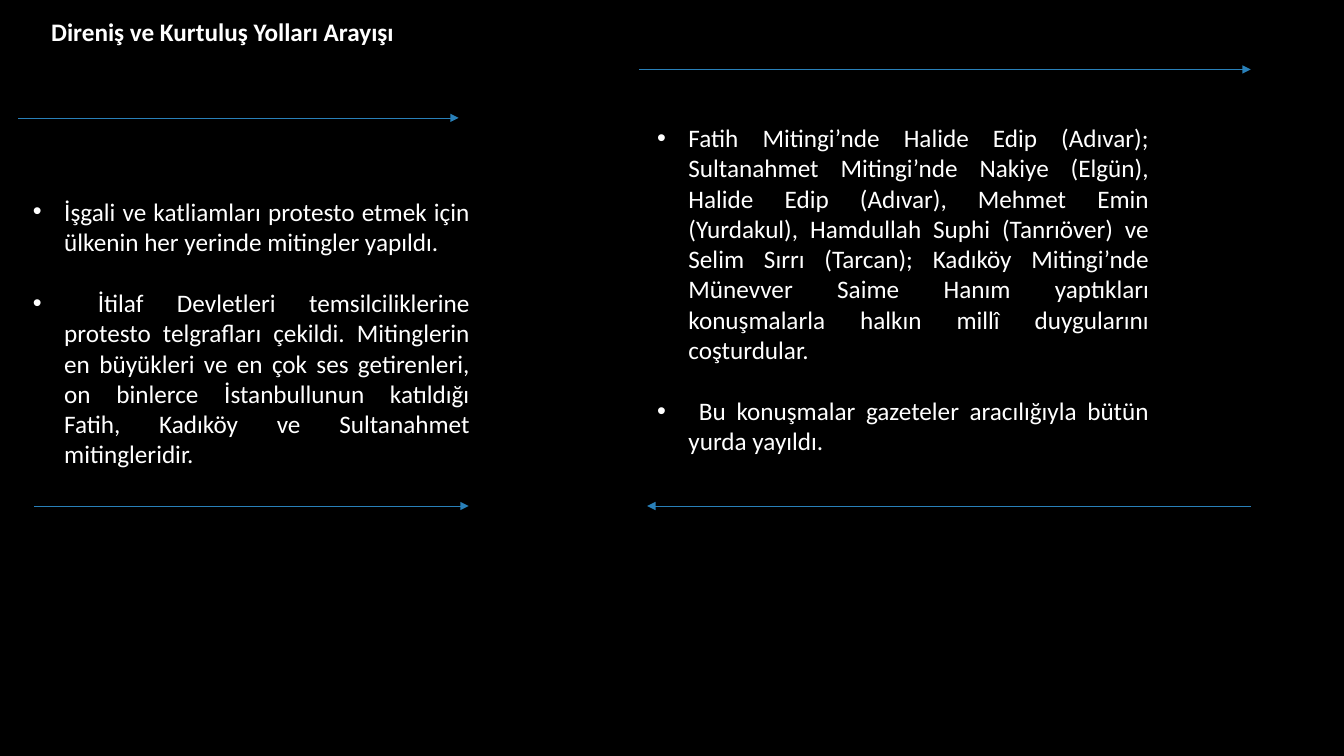
from dataclasses import dataclass

from pptx import Presentation
from pptx.dml.color import RGBColor as Rgb
from pptx.enum.shapes import MSO_CONNECTOR as Link
from pptx.enum.text import MSO_ANCHOR as Anchor, PP_ALIGN as Align
from pptx.oxml.ns import qn
from pptx.oxml.xmlchemy import OxmlElement as Node
from pptx.util import Cm, Pt


@dataclass(frozen=True)
class Theme:
    back: Rgb = Rgb(0, 0, 0)
    ink: Rgb = Rgb(255, 255, 255)
    line: Rgb = Rgb(0x29, 0x80, 0xB9)
    font: str = "Calibri"
    size: Pt = Pt(18)
    gap: Pt = Pt(22)
    width: Pt = Pt(0.5)
    indent: Cm = Cm(0.79)


THEME = Theme()

TITLE = "Direniş ve Kurtuluş Yolları Arayışı"
LEFT = [
    "İşgali ve katliamları protesto etmek için ülkenin her yerinde mitingler "
    "yapıldı.",
    " İtilaf Devletleri temsilciliklerine protesto telgrafları çekildi. "
    "Mitinglerin en büyükleri ve en çok ses getirenleri, on binlerce "
    "İstanbullunun katıldığı Fatih, Kadıköy ve Sultanahmet mitingleridir.",
]
RIGHT = [
    "Fatih Mitingi’nde Halide Edip (Adıvar); Sultanahmet Mitingi’nde Nakiye "
    "(Elgün), Halide Edip (Adıvar), Mehmet Emin (Yurdakul), Hamdullah Suphi "
    "(Tanrıöver) ve Selim Sırrı (Tarcan); Kadıköy Mitingi’nde Münevver Saime "
    "Hanım yaptıkları konuşmalarla halkın millî duygularını coşturdular.",
    " Bu konuşmalar gazeteler aracılığıyla bütün yurda yayıldı.",
]
# Start x, end x and height of each arrow, in cm
ARROWS = [
    (31.52, 16.31, 12.75),
    (16.1, 31.52, 1.75),
    (0.46, 11.56, 2.97),
    (0.86, 11.81, 12.75),
]


def add_box(slide, place):
    box = slide.shapes.add_textbox(*map(Cm, place))
    box.text_frame.word_wrap = True
    return box.text_frame


def add_run(para, text, bold=False):
    run = para.add_run()
    run.text = text
    font = run.font
    font.name, font.size, font.bold = THEME.font, THEME.size, bold
    font.color.rgb = THEME.ink


def add_bullet(para):
    props = para._p.get_or_add_pPr()
    props.set("marL", str(THEME.indent))
    props.set("indent", str(-THEME.indent))
    for tag, key, value in (("a:buFont", "typeface", "Arial"),
                            ("a:buChar", "char", "•")):
        node = Node(tag)
        node.set(key, value)
        props.append(node)


def add_title(slide, place, text):
    add_run(add_box(slide, place).paragraphs[0], text, bold=True)


def add_list(slide, place, items):
    """Add justified bullets that rest on the bottom of their box."""
    frame = add_box(slide, place)
    frame.vertical_anchor = Anchor.BOTTOM
    for i, item in enumerate(items):
        para = frame.add_paragraph() if i else frame.paragraphs[0]
        para.alignment = Align.JUSTIFY
        if i:
            para.space_before = THEME.gap
        add_bullet(para)
        add_run(para, item)


def add_arrow(slide, start, end, y):
    arrow = slide.shapes.add_connector(
        Link.STRAIGHT, Cm(start), Cm(y), Cm(end), Cm(y))
    arrow.line.color.rgb = THEME.line
    arrow.line.width = THEME.width
    head = Node("a:tailEnd")
    head.set("type", "triangle")
    props = arrow._element.spPr
    props.find(qn("a:ln")).append(head)
    props.append(Node("a:effectLst"))


def main():
    deck = Presentation()
    deck.slide_width, deck.slide_height = Cm(33.87), Cm(19.05)
    slide = deck.slides.add_slide(deck.slide_layouts[6])
    fill = slide.background.fill
    fill.solid()
    fill.fore_color.rgb = THEME.back

    add_list(slide, (0.58, 3.99, 11.51, 7.95), LEFT)
    add_title(slide, (1.04, 0.28, 16.94, 1.02), TITLE)
    add_list(slide, (16.31, 2.9, 12.9, 8.71), RIGHT)
    for arrow in ARROWS:
        add_arrow(slide, *arrow)
    deck.save("out.pptx")


if __name__ == "__main__":
    main()
